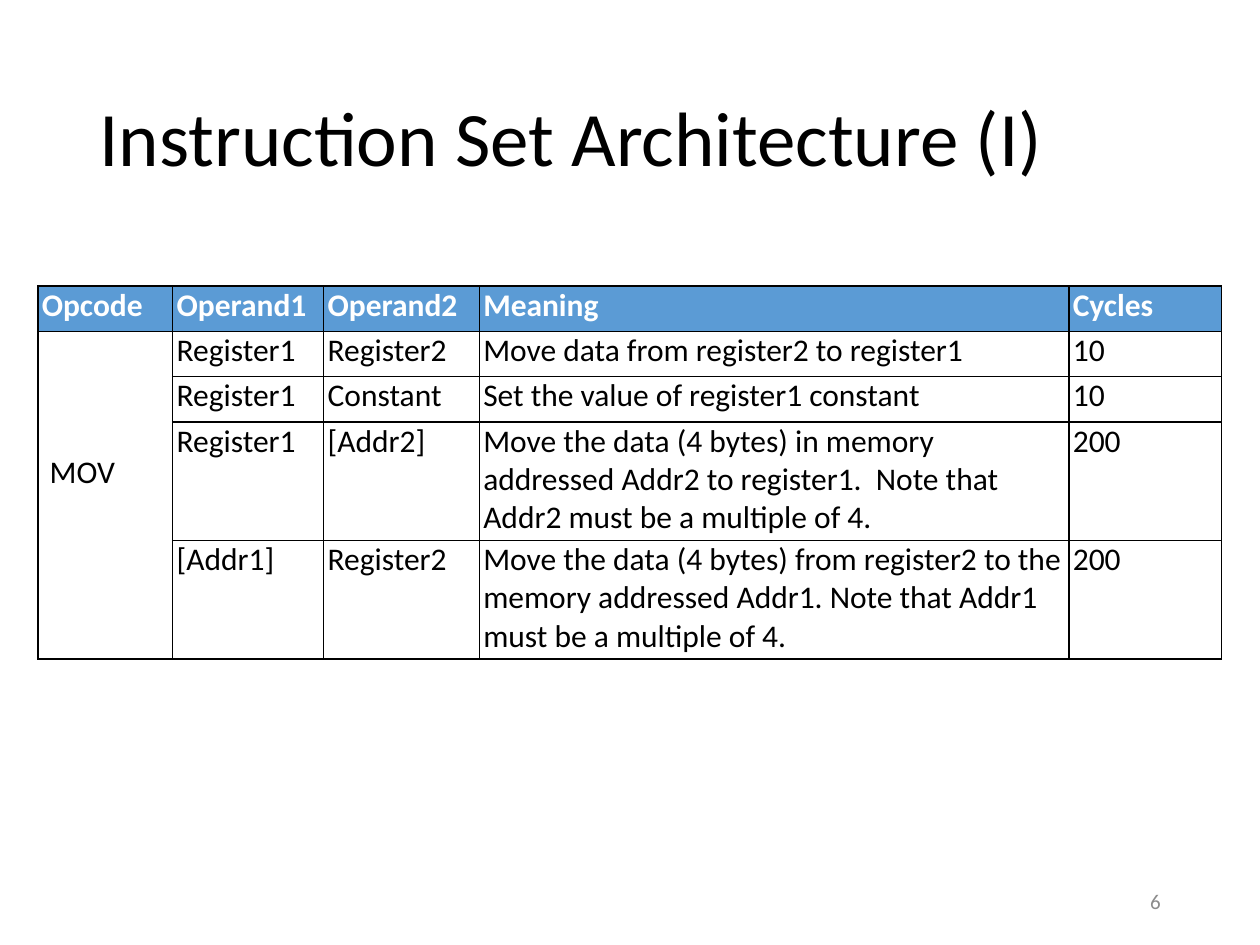
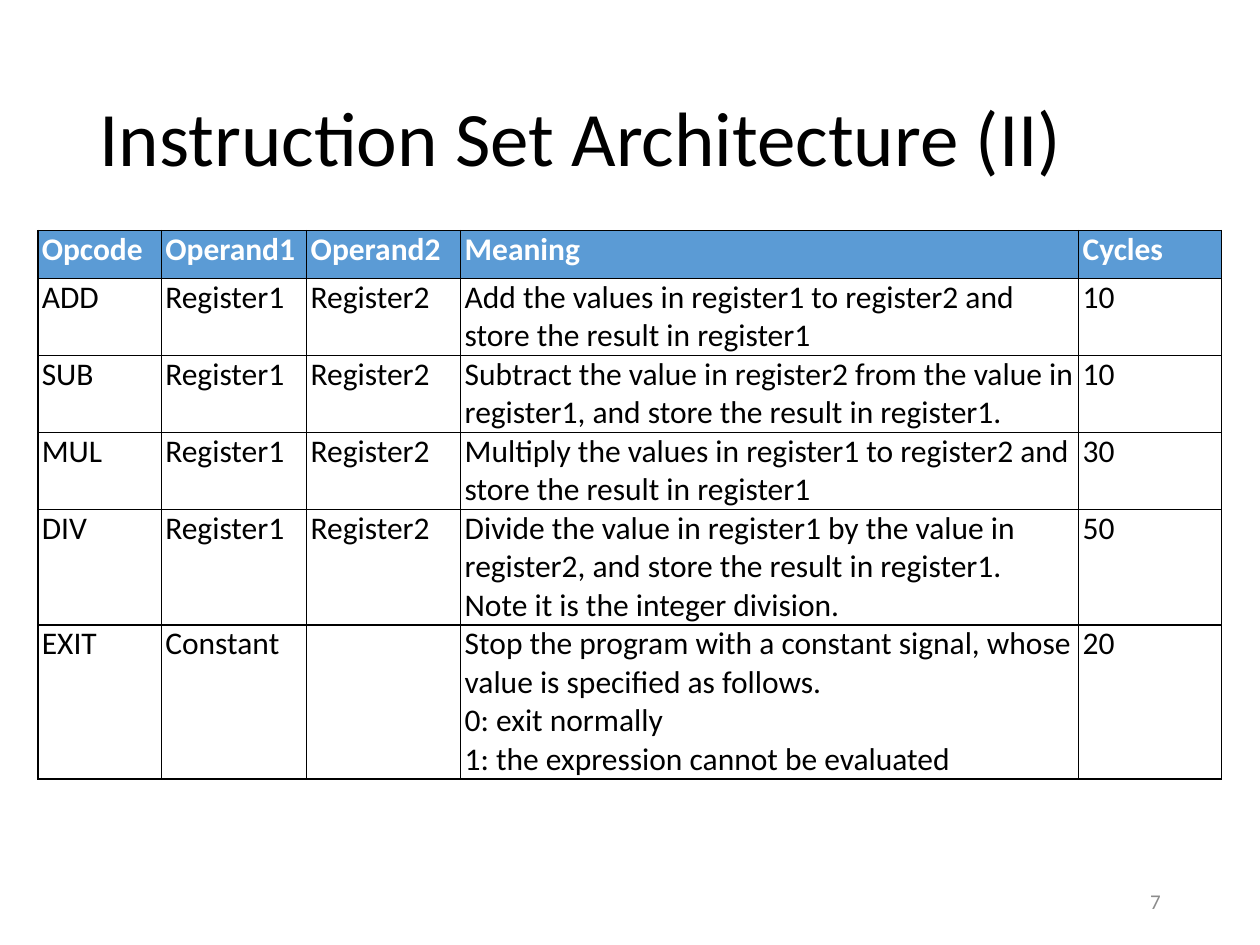
"""Two slides that list the instruction set of a small machine."""
from dataclasses import dataclass

import lxml.etree
import pptx
import pptx.dml.color
import pptx.enum.text
import pptx.oxml.ns
import pptx.util

Pt = pptx.util.Pt
RGBColor = pptx.dml.color.RGBColor
Align = pptx.enum.text.PP_ALIGN
Anchor = pptx.enum.text.MSO_ANCHOR


@dataclass(frozen=True)
class Theme:
    """Colours, type sizes and line width shared by the slides."""
    font: str = "Calibri"
    text: str = "000000"
    paper: str = "FFFFFF"
    header: str = "5B9BD5"
    number: str = "8C8C8C"
    title_size: float = 44
    table_size: float = 18
    number_size: float = 12
    border_width: float = 1


@dataclass(frozen=True)
class Box:
    """A place on the slide, in points."""
    left: float
    top: float
    width: float
    height: float

    def lengths(self) -> list:
        """Return left, top, width and height as lengths."""
        return [Pt(v) for v in (self.left, self.top, self.width, self.height)]


@dataclass(frozen=True)
class Insets:
    """Cell margins, in points."""
    left: float = 2.3
    top: float = 0
    right: float = 2.3
    bottom: float = 0


@dataclass(frozen=True)
class InstructionSlide:
    """One slide: title, page number and instruction table."""
    title: str
    number: int
    table_top: float
    columns: tuple
    heights: tuple
    instructions: tuple
    shared_opcode: bool = False


THEME = Theme()
TITLE_BOX = Box(49.7, 28.8, 620.6, 104.4)
NUMBER_BOX = Box(508.3, 500.5, 162, 28.8)
TABLE_LEFT = 21.6
CELL_INSETS = Insets()
OPCODE_INSETS = Insets(6.8, 69.5, 6.8, 3.6)
HEADINGS = ("Opcode", "Operand1", "Operand2", "Meaning", "Cycles")

SLIDES = (
    InstructionSlide(
        "Instruction Set Architecture (I)", 6, 163.5,
        (77.1, 86.3, 88.9, 336.9, 87.4),
        (25.9, 25.9, 25.9, 67.7, 67.7),
        (
            ("MOV", "Register1", "Register2",
             "Move data from register2 to register1", "10"),
            ("", "Register1", "Constant",
             "Set the value of register1 constant", "10"),
            ("", "Register1", "[Addr2]",
             "Move the data (4 bytes) in memory addressed Addr2 to register1."
             "\u00a0 Note that Addr2 must be a multiple of 4.", "200"),
            ("", "[Addr1]", "Register2",
             "Move the data (4 bytes) from register2 to the memory addressed "
             "Addr1. Note that Addr1 must be a multiple of 4.", "200"),
        ),
        shared_opcode=True,
    ),
    InstructionSlide(
        "Instruction Set Architecture (II)", 7, 131.8,
        (70.6, 83.1, 88, 353.1, 81.7),
        (27.3, 44, 44, 44, 66, 88),
        (
            ("ADD", "Register1", "Register2",
             "Add the values in register1 to register2 and store the result "
             "in register1", "10"),
            ("SUB", "Register1", "Register2",
             "Subtract the value in register2 from the value in register1, "
             "and store the result in register1.", "10"),
            ("MUL", "Register1", "Register2",
             "Multiply the values in register1 to register2 and store the "
             "result in register1", "30"),
            ("DIV", "Register1", "Register2",
             "Divide the value in register1 by the value in register2, and "
             "store the result in register1.\u00a0 Note it is the integer "
             "division.", "50"),
            ("EXIT", "Constant", "",
             "Stop the program with a constant signal, whose value is "
             "specified as follows.\n0: exit normally\n"
             "1: the expression cannot be evaluated", "20"),
        ),
    ),
)


def add_run(paragraph, text: str, size: float, color: str,
            bold: bool = False) -> None:
    """Add one formatted run to a paragraph."""
    run = paragraph.add_run()
    run.text = text
    run.font.name = THEME.font
    run.font.size = Pt(size)
    run.font.bold = bold
    run.font.color.rgb = RGBColor.from_string(color)


def add_title(slide, title: str) -> None:
    """Place and fill the title placeholder."""
    heading = slide.shapes.title
    heading.left, heading.top, heading.width, heading.height = (
        TITLE_BOX.lengths())
    frame = heading.text_frame
    frame.auto_size = pptx.enum.text.MSO_AUTO_SIZE.NONE
    frame.vertical_anchor = Anchor.MIDDLE
    paragraph = frame.paragraphs[0]
    paragraph.alignment = Align.LEFT
    paragraph.line_spacing = 0.9
    add_run(paragraph, title, THEME.title_size, THEME.text)


def add_page_number(slide, number: int) -> None:
    """Write the page number at the lower right."""
    frame = slide.shapes.add_textbox(*NUMBER_BOX.lengths()).text_frame
    frame.word_wrap = True
    frame.vertical_anchor = Anchor.MIDDLE
    paragraph = frame.paragraphs[0]
    paragraph.alignment = Align.RIGHT
    add_run(paragraph, str(number), THEME.number_size, THEME.number)


def set_borders(cell) -> None:
    """Draw a thin line on all four sides of a cell."""
    qn = pptx.oxml.ns.qn
    properties = cell._tc.get_or_add_tcPr()
    for position, side in enumerate(("lnL", "lnR", "lnT", "lnB")):
        line = lxml.etree.Element(qn(f"a:{side}"),
                                  w=str(Pt(THEME.border_width)))
        fill = lxml.etree.SubElement(line, qn("a:solidFill"))
        lxml.etree.SubElement(fill, qn("a:srgbClr"), val=THEME.text)
        properties.insert(position, line)


def fill_cell(cell, text: str, is_header: bool, insets: Insets) -> None:
    """Format a cell and write its text, one paragraph a line."""
    cell.margin_left, cell.margin_top = Pt(insets.left), Pt(insets.top)
    cell.margin_right, cell.margin_bottom = Pt(insets.right), Pt(insets.bottom)
    cell.vertical_anchor = Anchor.TOP
    cell.fill.solid()
    cell.fill.fore_color.rgb = RGBColor.from_string(
        THEME.header if is_header else THEME.paper)
    set_borders(cell)
    frame = cell.text_frame
    for index, line in enumerate(text.split("\n") if text else ()):
        paragraph = frame.add_paragraph() if index else frame.paragraphs[0]
        add_run(paragraph, line, THEME.table_size,
                THEME.paper if is_header else THEME.text, is_header)


def add_instruction_table(slide, content: InstructionSlide) -> None:
    """Add the table of opcodes, operands, meanings and cycles."""
    rows = (HEADINGS, *content.instructions)
    place = Box(TABLE_LEFT, content.table_top,
                sum(content.columns), sum(content.heights))
    table = slide.shapes.add_table(
        len(rows), len(HEADINGS), *place.lengths()).table
    table.horz_banding = False
    for column, width in zip(table.columns, content.columns):
        column.width = Pt(width)
    for row, height in zip(table.rows, content.heights):
        row.height = Pt(height)
    if content.shared_opcode:
        table.cell(1, 0).merge(table.cell(len(rows) - 1, 0))
    for r, texts in enumerate(rows):
        for c, text in enumerate(texts):
            cell = table.cell(r, c)
            insets = OPCODE_INSETS if cell.is_merge_origin else CELL_INSETS
            fill_cell(cell, text, r == 0, insets)


def main() -> None:
    """Build and save the presentation."""
    deck = pptx.Presentation()
    deck.slide_width, deck.slide_height = Pt(720), Pt(540)
    title_only = deck.slide_layouts.get_by_name("Title Only")
    for content in SLIDES:
        slide = deck.slides.add_slide(title_only)
        add_title(slide, content.title)
        add_instruction_table(slide, content)
        add_page_number(slide, content.number)
    deck.save("out.pptx")


main()
